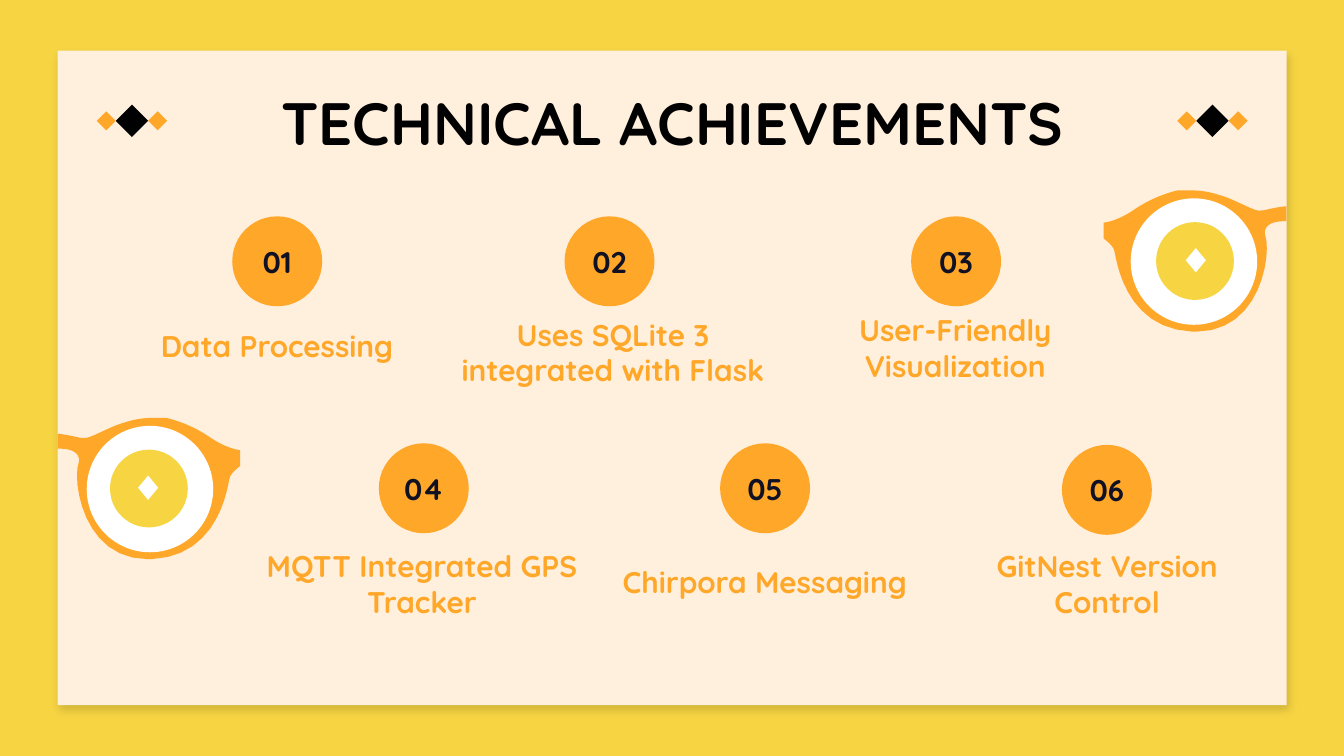
from lxml.etree import SubElement
from pptx import Presentation
from pptx.dml.color import RGBColor
from pptx.enum.shapes import MSO_AUTO_SHAPE_TYPE as ShapeType
from pptx.enum.text import MSO_ANCHOR as Anchor, PP_ALIGN as Align
from pptx.oxml.ns import qn
from pptx.util import Cm, Pt

YELLOW = RGBColor(0xF6, 0xD4, 0x42)
CREAM = RGBColor(0xFF, 0xEF, 0xDD)
ORANGE = RGBColor(0xFF, 0xA7, 0x28)
BLACK = RGBColor(0x01, 0x01, 0x01)
NAVY = RGBColor(0x10, 0x11, 0x22)
WHITE = RGBColor(0xFF, 0xFF, 0xFF)

TITLE_FONT = {"name": "Quicksand", "size": Pt(32), "bold": True}
ITEM_FONT = {**TITLE_FONT, "size": Pt(16)}

BADGE_SIZE = 1.7
LABEL_SIZE = (6.45, 1.47)
# number, badge left and top, label text, label left and top
ACHIEVEMENTS = [
    ("01", (4.39, 4.09), "Data Processing", (2.01, 5.79)),
    ("02", (10.67, 4.09), "Uses SQLite 3 integrated with Flask", (8.36, 5.92)),
    ("03", (17.22, 4.09), "User-Friendly Visualization", (14.83, 5.84)),
    ("04", (7.16, 8.38), "MQTT Integrated GPS Tracker", (4.75, 10.29)),
    ("05", (13.61, 8.38), "Chirpora Messaging", (11.23, 10.26)),
    ("06", (20.07, 8.41), "GitNest Version Control", (17.7, 10.29)),
]

GLASSES_WIDTH = 3.45
FRAME_START = (1.65, 0)
# one point is a straight line, three points are a Bezier curve
FRAME_SEGMENTS = [
    [(1.4, 0)],
    [(1.4, 0), (0.99, 0.08), (0.58, 0.36)],
    [(0.51, 0.41), (0.25, 0.58), (0, 0.61)],
    [(0, 0.91)],
    [(0, 0.91), (0.18, 1.04), (0.2, 1.14)],
    [(0.23, 1.22), (0.36, 2.62), (1.68, 2.67)],
    [(1.75, 2.67)],
    [(2.97, 2.67), (3.18, 1.19), (3.05, 0.84)],
    [(3.05, 0.84), (2.97, 0.58), (3.43, 0.58)],
    [(3.45, 0.58)],
    [(3.45, 0.3)],
    [(3.15, 0.33), (3.07, 0.38), (2.97, 0.38)],
    [(2.92, 0.38)],
    [(2.77, 0.36), (2.44, 0.15), (2.16, 0.08)],
    [(2.01, 0.03), (1.83, 0), (1.65, 0)],
]
# preset, colour, left, top, width, height within the glasses
LENS_PARTS = [
    (ShapeType.OVAL, WHITE, 0.51, 0.15, 2.39, 2.39),
    (ShapeType.OVAL, YELLOW, 0.99, 0.6, 1.47, 1.47),
    (ShapeType.DIAMOND, WHITE, 1.55, 1.09, 0.38, 0.46),
]


def paint(shape, color):
    shape.shadow.inherit = False
    shape.fill.solid()
    shape.fill.fore_color.rgb = color
    shape.line.fill.background()


def add_filled(shapes, preset, color, left, top, width, height):
    shape = shapes.add_shape(preset, Cm(left), Cm(top), Cm(width), Cm(height))
    paint(shape, color)
    return shape


def write_text(shape, text, color, font_format):
    frame = shape.text_frame
    frame.vertical_anchor = Anchor.MIDDLE
    for side in ("left", "top", "right", "bottom"):
        setattr(frame, f"margin_{side}", Cm(0.25))
    paragraph = frame.paragraphs[0]
    paragraph.alignment = Align.CENTER
    run = paragraph.add_run()
    run.text = text
    for name, value in font_format.items():
        setattr(run.font, name, value)
    run.font.color.rgb = color


def add_label(slide, text, color, font_format, left, top, width, height):
    box = slide.shapes.add_textbox(Cm(left), Cm(top), Cm(width), Cm(height))
    box.text_frame.word_wrap = True
    write_text(box, text, color, font_format)


def add_card(slide, left, top, width, height):
    card = add_filled(slide.shapes, ShapeType.RECTANGLE, CREAM, left, top, width, height)
    effects = card._element.spPr.find(qn("a:effectLst"))
    shadow = SubElement(effects, qn("a:outerShdw"), blurRad=str(Pt(4.5)),
                        dist=str(Pt(3)), dir=str(64 * 60000), algn="bl", rotWithShape="0")
    color = SubElement(shadow, qn("a:srgbClr"), val="000000")
    SubElement(color, qn("a:alpha"), val="14000")


def add_diamond_trio(slide, left, top):
    group = slide.shapes.add_group_shape()
    small, large = 0.36, 0.61
    for color, size, offset in ((BLACK, large, small), (ORANGE, small, small + large),
                                (ORANGE, small, 0)):
        add_filled(group.shapes, ShapeType.DIAMOND, color, left + offset,
                   top + (large - size) / 2, size, size)


def add_achievement(slide, number, badge_at, text, label_at):
    badge = add_filled(slide.shapes, ShapeType.OVAL, ORANGE, *badge_at, BADGE_SIZE, BADGE_SIZE)
    badge.text_frame.word_wrap = False
    write_text(badge, number, NAVY, ITEM_FONT)
    add_label(slide, text, ORANGE, ITEM_FONT, *label_at, *LABEL_SIZE)


def frame_points(steps=12):
    """Return the frame outline with its curves cut into short lines."""
    points = [FRAME_START]
    for segment in FRAME_SEGMENTS:
        if len(segment) == 1:
            points += segment
            continue
        controls = [points[-1], *segment]
        for step in range(1, steps + 1):
            t = step / steps
            weights = ((1 - t) ** 3, 3 * t * (1 - t) ** 2, 3 * t ** 2 * (1 - t), t ** 3)
            points.append(tuple(sum(weight * control[axis]
                                    for weight, control in zip(weights, controls))
                                for axis in (0, 1)))
    return points


def add_glasses(slide, left, top, mirrored):
    def place(x, width=0):
        return left + (GLASSES_WIDTH - x - width if mirrored else x)

    group = slide.shapes.add_group_shape()
    points = [(Cm(place(x)), Cm(top + y)) for x, y in frame_points()]
    builder = group.shapes.build_freeform(*points[0])
    builder.add_line_segments(points[1:], close=True)
    paint(builder.convert_to_shape(), ORANGE)
    for preset, color, x, y, width, height in LENS_PARTS:
        add_filled(group.shapes, preset, color, place(x, width), top + y, width, height)


def main():
    presentation = Presentation()
    presentation.slide_width, presentation.slide_height = Cm(25.4), Cm(14.29)
    slide = presentation.slides.add_slide(presentation.slide_layouts[6])
    slide.background.fill.solid()
    slide.background.fill.fore_color.rgb = YELLOW

    add_card(slide, 1.09, 0.96, 23.23, 12.37)
    add_label(slide, "TECHNICAL ACHIEVEMENTS", BLACK, TITLE_FONT, 2.01, 1.5, 21.41, 1.6)
    for left in (1.83, 22.25):
        add_diamond_trio(slide, left, 1.98)
    for achievement in ACHIEVEMENTS:
        add_achievement(slide, *achievement)
    add_glasses(slide, 20.86, 3.6, mirrored=False)
    add_glasses(slide, 1.09, 7.9, mirrored=True)
    presentation.save("out.pptx")


if __name__ == "__main__":
    main()
